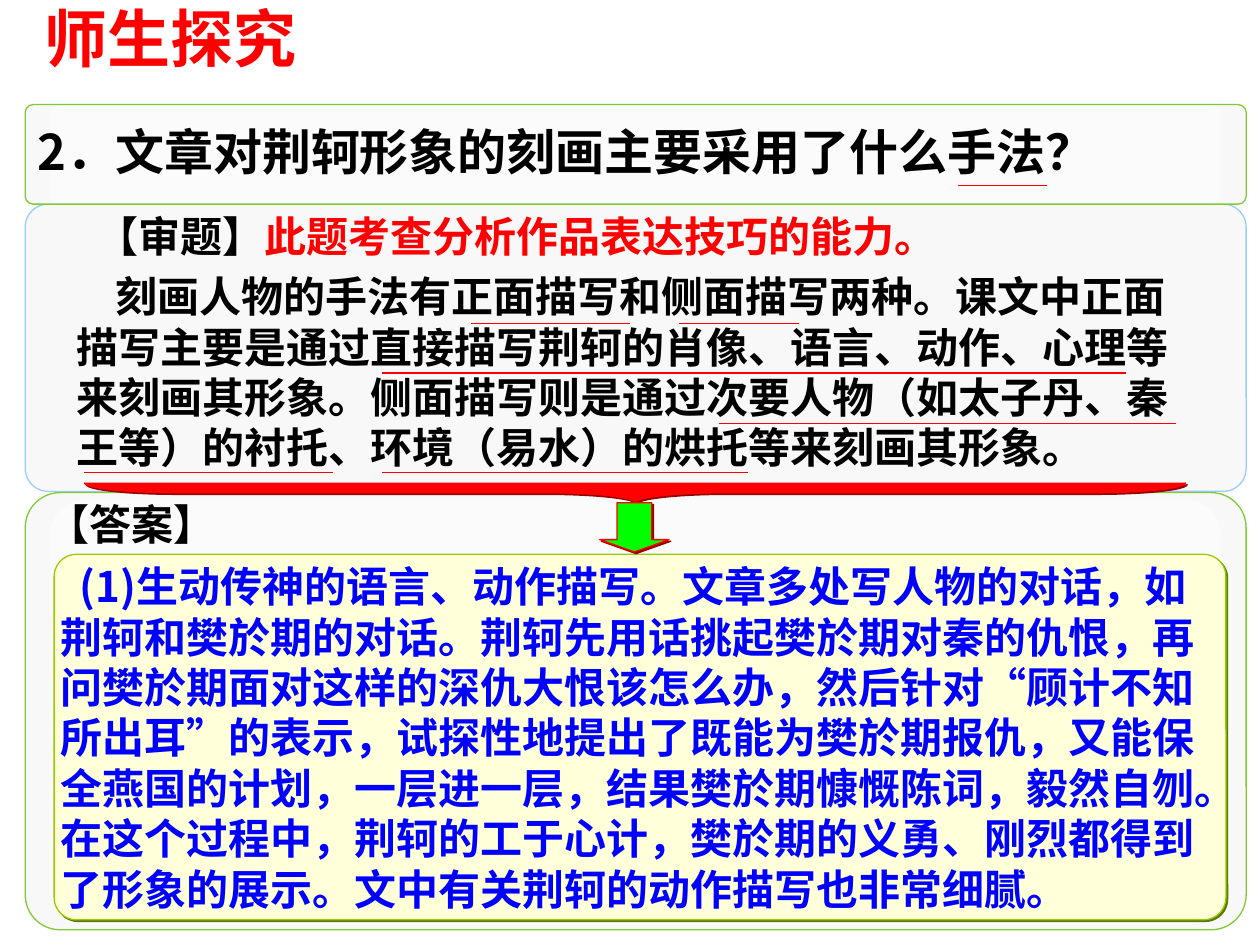
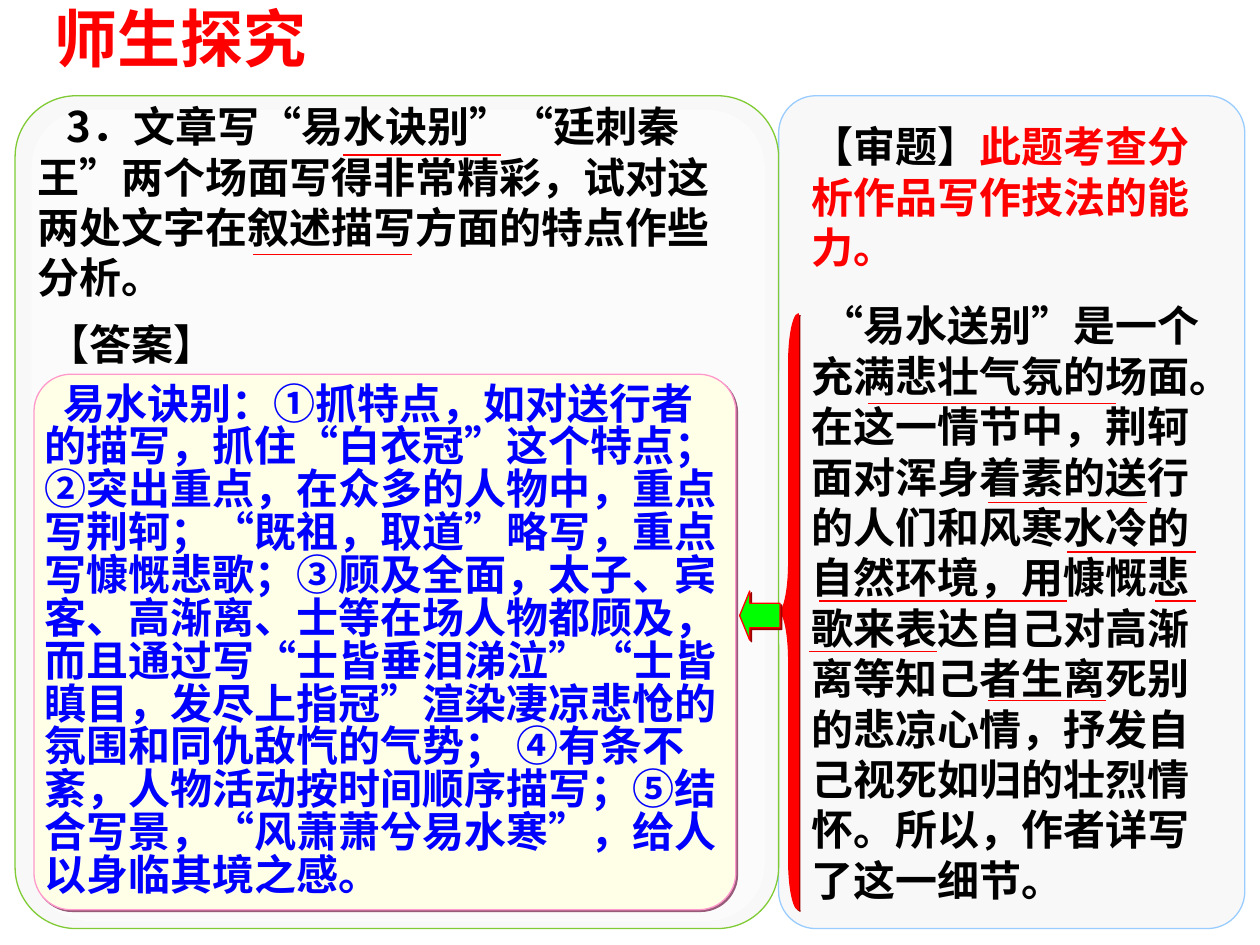
from dataclasses import dataclass

from lxml.etree import SubElement
from pptx import Presentation
from pptx.dml.color import RGBColor
from pptx.enum.shapes import MSO_CONNECTOR, MSO_SHAPE
from pptx.enum.text import MSO_ANCHOR
from pptx.oxml.ns import qn
from pptx.util import Inches, Pt


@dataclass(frozen=True)
class Theme:
    red: str = "FF0000"
    black: str = "000000"
    blue: str = "0000FF"
    arrow_green: str = "00FF00"
    panel: str = "F8F8F8"
    white: str = "FFFFFF"
    green_line: str = "80CB35"
    blue_line: str = "99CCFF"
    red_shadow: str = "980000"
    text_shadow: str = "808080"
    title_font: str = "Arial"
    body_font: str = "Noto Sans CJK SC"
    title_size: int = 36
    question_size: int = 28
    body_size: int = 24
    line_width: float = 0.75
    margins: tuple = (0.1, 0.05)


THEME = Theme()
TITLE = "师生探究"
ANSWER_LABEL = "【答案】"
TOPIC_LABEL = "【审题】"

# Boxes are (left, top, width, height) in inches; underlines are (y, from x, to x).
SLIDES = [
    {
        "title_left": 0.35,
        "panels": [
            {"box": (0.2, 1.62, 9.69, 2.28), "line": THEME.blue_line},
            {"box": (0.2, 0.83, 9.69, 0.79), "line": THEME.green_line,
             "glow": (0.4, 0.84, 9.29, 0.77)},
            {"box": (0.2, 3.91, 9.69, 3.47), "line": THEME.green_line,
             "glow": (0.4, 3.97, 9.29, 3.37)},
        ],
        "question": {
            "box": (0.2, 0.91, 9.14, 0.57), "size": THEME.question_size, "anchor": MSO_ANCHOR.MIDDLE,
            "text": "2．文章对荆轲形象的刻画主要采用了什么手法？"},
        "topic": {"box": (0.67, 1.62, 7.72, 0.5), "text": "此题考查分析作品表达技巧的能力。"},
        "analysis": {
            "box": (0.51, 2.1, 8.98, 1.7), "indent": 0.31,
            "text": "刻画人物的手法有正面描写和侧面描写两种。课文中正面描写主要是通过直接描写荆轲的肖像、"
                    "语言、动作、心理等来刻画其形象。侧面描写则是通过次要人物（如太子丹、秦王等）的衬托、"
                    "环境（易水）的烘托等来刻画其形象。"},
        "answer": {
            "box": (0.43, 4.4, 9.3, 2.9), "corner": 0.061,
            "fill": "FFFFD9", "line": "99CC00", "shadow": "5B7900",
            "indent": 0.15, "spacing": 1.0,
            "text": "(1)生动传神的语言、动作描写。文章多处写人物的对话，如荆轲和樊於期的对话。"
                    "荆轲先用话挑起樊於期对秦的仇恨，再问樊於期面对这样的深仇大恨该怎么办，"
                    "然后针对“顾计不知所出耳”的表示，试探性地提出了既能为樊於期报仇，又能保全燕国的计划，"
                    "一层进一层，结果樊於期慷慨陈词，毅然自刎。在这个过程中，荆轲的工于心计，"
                    "樊於期的义勇、刚烈都得到了形象的展示。文中有关荆轲的动作描写也非常细腻。"},
        "answer_label_top": 3.91,
        "brace": {"box": (4.96, -0.46, 0.16, 8.74), "curve": 4.55, "rotation": 270},
        "arrow": {"box": (4.76, 3.99, 0.55, 0.39), "kind": MSO_SHAPE.DOWN_ARROW},
        "underlines": [
            (1.47, 7.6, 8.31), (2.57, 3.74, 5), (2.57, 5.39, 6.34), (2.96, 3.03, 8.94),
            (3.36, 5.71, 9.33), (3.75, 0.67, 2.64), (3.75, 3.03, 5.94),
        ],
    },
    {
        "title_left": 0.43,
        "panels": [
            {"box": (6.18, 0.76, 3.7, 6.61), "line": THEME.blue_line},
            {"box": (0.12, 0.76, 6.06, 6.61), "line": THEME.green_line,
             "glow": (0.25, 0.87, 5.82, 6.44)},
        ],
        "question": {
            "box": (0.2, 0.75, 5.83, 1.7), "anchor": MSO_ANCHOR.MIDDLE, "indent": 0.23,
            "text": "3．文章写“易水诀别”“廷刺秦王”两个场面写得非常精彩，"
                    "试对这两处文字在叙述描写方面的特点作些分析。"},
        "topic": {"box": (6.34, 0.91, 3.47, 1.3), "text": "此题考查分析作品写作技法的能力。"},
        "analysis": {
            "box": (6.34, 2.33, 3.47, 4.9), "anchor": MSO_ANCHOR.MIDDLE, "indent": 0.08,
            "text": "“易水送别”是一个充满悲壮气氛的场面。在这一情节中，荆轲面对浑身着素的送行的人们和"
                    "风寒水冷的自然环境，用慷慨悲歌来表达自己对高渐离等知己者生离死别的悲凉心情，"
                    "抒发自己视死如归的壮烈情怀。所以，作者详写了这一细节。"},
        "answer": {
            "box": (0.27, 2.97, 5.57, 4.25), "corner": 0.069,
            "fill": "FFFFE7", "line": "FF99CC", "shadow": "985B79",
            "indent": 0.15, "spacing": 0.85,
            "text": "易水诀别：①抓特点，如对送行者的描写，抓住“白衣冠”这个特点；②突出重点，"
                    "在众多的人物中，重点写荆轲；“既祖，取道”略写，重点写慷慨悲歌；③顾及全面，"
                    "太子、宾客、高渐离、士等在场人物都顾及，而且通过写“士皆垂泪涕泣”"
                    "“士皆瞋目，发尽上指冠”渲染凄凉悲怆的氛围和同仇敌忾的气势； ④有条不紊，"
                    "人物活动按时间顺序描写；⑤结合写景，“风萧萧兮易水寒”，给人以身临其境之感。"},
        "answer_label_top": 2.48,
        "brace": {"box": (6.18, 2.49, 0.16, 4.73), "curve": 2.46, "rotation": 0},
        "arrow": {"box": (5.87, 4.69, 0.32, 0.39), "kind": MSO_SHAPE.LEFT_ARROW},
        "underlines": [
            (1.23, 2.72, 3.98), (2.02, 2.01, 3.27), (3.2, 6.89, 8.86), (3.99, 7.84, 9.1),
            (4.38, 8.47, 9.49), (4.77, 6.5, 8.47), (4.77, 9.17, 9.49), (5.17, 6.42, 7.44),
            (5.56, 7.84, 8.78),
        ],
    },
]


def add_outer_shadow(effects, color, distance=1.4):
    shadow = SubElement(effects, qn("a:outerShdw"), dist=str(Pt(distance)), dir="2700000",
                        algn="ctr", rotWithShape="0")
    SubElement(shadow, qn("a:srgbClr"), val=color)


def add_filled_shape(slide, kind, box, fill, line=None, shadow=None, adjustments=()):
    shape = slide.shapes.add_shape(kind, *map(Inches, box))
    shape.shadow.inherit = False
    shape.fill.solid()
    shape.fill.fore_color.rgb = RGBColor.from_string(fill)
    if line:
        shape.line.color.rgb = RGBColor.from_string(line)
        shape.line.width = Pt(THEME.line_width)
    else:
        shape.line.fill.background()
    if shadow:
        add_outer_shadow(shape._element.spPr.find(qn("a:effectLst")), shadow)
    for index, value in enumerate(adjustments):
        shape.adjustments[index] = value
    return shape


def add_panel(slide, box, line, glow=None):
    """Add a rounded panel, with an optional half-transparent white layer inside."""
    add_filled_shape(slide, MSO_SHAPE.ROUNDED_RECTANGLE, box, THEME.panel, line, adjustments=[0.08])
    if glow:
        layer = add_filled_shape(slide, MSO_SHAPE.ROUNDED_RECTANGLE, glow, THEME.white,
                                 adjustments=[0.079])
        color = layer._element.spPr.find(qn("a:solidFill"))[0]
        SubElement(color, qn("a:alpha"), val="50000")


def write_text(shape, runs, font, size=THEME.body_size, anchor=MSO_ANCHOR.TOP, indent=0,
               spacing=1.0, margins=THEME.margins, wrap=True, shadow=True):
    """Fill a shape with one paragraph made of (text, colour) runs."""
    frame = shape.text_frame
    frame.word_wrap = wrap
    frame.vertical_anchor = anchor
    frame.margin_left = frame.margin_right = Inches(margins[0])
    frame.margin_top = frame.margin_bottom = Inches(margins[1])
    paragraph = frame.paragraphs[0]
    paragraph.line_spacing = spacing
    properties = paragraph._p.get_or_add_pPr()
    properties.set("algn", "l")
    properties.set("marL", "0")
    properties.set("indent", str(Inches(indent)))
    for text, color in runs:
        run = paragraph.add_run()
        run.text = text
        run.font.size = Pt(size)
        run.font.bold = True
        run.font.color.rgb = RGBColor.from_string(color)
        run_properties = run._r.get_or_add_rPr()
        if shadow:
            add_outer_shadow(SubElement(run_properties, qn("a:effectLst")), THEME.text_shadow)
        SubElement(run_properties, qn("a:latin"), typeface=font)
        SubElement(run_properties, qn("a:ea"), typeface=THEME.body_font)


def add_text(slide, box, runs, font, **options):
    write_text(slide.shapes.add_textbox(*map(Inches, box)), runs, font, **options)


def add_passage(slide, text, box, font, **options):
    add_text(slide, box, [(text, THEME.black)], font, **options)


def add_answer(slide, box, corner, fill, line, shadow, text, indent, spacing):
    card = add_filled_shape(slide, MSO_SHAPE.ROUNDED_RECTANGLE, box, fill, line, shadow, [corner])
    # The rounded corners inset the text by 0.29 of their radius.
    inset = 0.29 * corner * min(box[2:])
    write_text(card, [(text, THEME.blue)], THEME.body_font, anchor=MSO_ANCHOR.MIDDLE,
               indent=indent, spacing=spacing, margins=(0, 0), shadow=False)
    return inset


def add_underline(slide, y, start, end):
    line = slide.shapes.add_connector(MSO_CONNECTOR.STRAIGHT, *map(Inches, (start, y, end, y)))
    line.line.color.rgb = RGBColor.from_string(THEME.red)
    line.line.width = Pt(THEME.line_width)
    SubElement(line._element.spPr, qn("a:effectLst"))


def build_slide(presentation, content):
    slide = presentation.slides.add_slide(presentation.slide_layouts[6])
    for panel in content["panels"]:
        add_panel(slide, **panel)
    add_text(slide, (content["title_left"], 0, 3.35, 0.6), [(TITLE, THEME.red)], THEME.title_font,
             size=THEME.title_size, margins=(0, 0))
    add_passage(slide, font=THEME.body_font, **content["question"])
    topic = content["topic"]
    add_text(slide, topic["box"], [(TOPIC_LABEL, THEME.black), (topic["text"], THEME.red)],
             THEME.title_font)
    add_passage(slide, font=THEME.body_font, **content["analysis"])
    add_answer(slide, **content["answer"])
    add_passage(slide, ANSWER_LABEL, (0.28, content["answer_label_top"], 1.53, 0.5),
                THEME.title_font, wrap=False)
    brace = content["brace"]
    brace_shape = add_filled_shape(slide, MSO_SHAPE.LEFT_BRACE, brace["box"], THEME.red, THEME.red,
                                   THEME.red_shadow, [brace["curve"], 0.5])
    brace_shape.rotation = brace["rotation"]
    arrow = content["arrow"]
    add_filled_shape(slide, arrow["kind"], arrow["box"], THEME.arrow_green, THEME.red,
                     THEME.red_shadow, [0.5, 0.25])
    for underline in content["underlines"]:
        add_underline(slide, *underline)


def main():
    presentation = Presentation()
    presentation.slide_width = Inches(10)
    presentation.slide_height = Inches(7.5)
    for content in SLIDES:
        build_slide(presentation, content)
    presentation.save("out.pptx")


if __name__ == "__main__":
    main()
